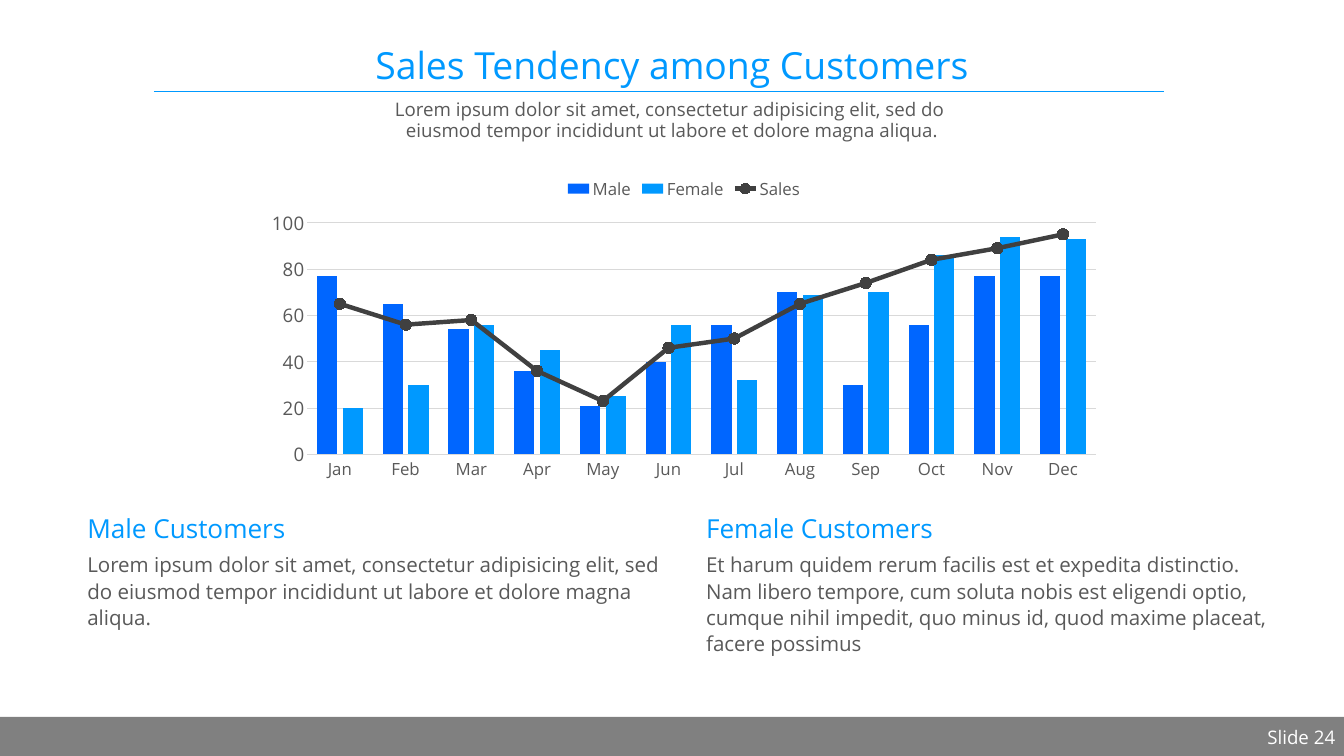
from lxml import etree
from pptx import Presentation
from pptx.chart.data import CategoryChartData
from pptx.dml.color import RGBColor
from pptx.enum.chart import XL_CHART_TYPE, XL_LEGEND_POSITION, XL_MARKER_STYLE, XL_TICK_MARK
from pptx.enum.shapes import MSO_CONNECTOR, MSO_SHAPE
from pptx.enum.text import MSO_ANCHOR, PP_ALIGN
from pptx.oxml.ns import qn
from pptx.util import Cm, Pt

COLUMNS = XL_CHART_TYPE.COLUMN_CLUSTERED
LEGEND_TOP = XL_LEGEND_POSITION.TOP
CIRCLE = XL_MARKER_STYLE.CIRCLE
NO_TICK = XL_TICK_MARK.NONE
STRAIGHT = MSO_CONNECTOR.STRAIGHT
RECT = MSO_SHAPE.RECTANGLE
TOP, BOTTOM = MSO_ANCHOR.TOP, MSO_ANCHOR.BOTTOM
LEFT, CENTER, RIGHT = PP_ALIGN.LEFT, PP_ALIGN.CENTER, PP_ALIGN.RIGHT

FONT = "Open Sans"
COLORS = {
    "accent": "0099FF",
    "male": "0066FF",
    "female": "0099FF",
    "sales": "404040",
    "text": "595959",
    "grid": "D9D9D9",
    "footer": "808080",
    "white": "FFFFFF",
}
SLIDE_W, SLIDE_H = 50.8, 28.58

MONTHS = ["Jan", "Feb", "Mar", "Apr", "May", "Jun",
          "Jul", "Aug", "Sep", "Oct", "Nov", "Dec"]
SERIES = {
    "Male": [77, 65, 54, 36, 21, 40, 56, 70, 30, 56, 77, 77],
    "Female": [20, 30, 56, 45, 25, 56, 32, 69, 70, 86, 94, 93],
    "Sales": [65, 56, 58, 36, 23, 46, 50, 65, 74, 84, 89, 95],
}
CUSTOMERS = [
    ("Male Customers",
     "Lorem ipsum dolor sit amet, consectetur adipisicing elit, sed do eiusmod "
     "tempor incididunt ut labore et dolore magna aliqua."),
    ("Female Customers",
     "Et harum quidem rerum facilis est et expedita distinctio. Nam libero tempore, "
     "cum soluta nobis est eligendi optio, cumque nihil impedit, quo minus id, quod "
     "maxime placeat, facere possimus"),
]


def rgb(name):
    return RGBColor.from_string(COLORS[name])


def set_font(font, size, color):
    font.name = FONT
    font.size = Pt(size)
    font.color.rgb = rgb(color)


def add_text(s, x, y, w, h, text, size, color, align=LEFT, anchor=TOP, spacing=None):
    tf = s.shapes.add_textbox(Cm(x), Cm(y), Cm(w), Cm(h)).text_frame
    tf.word_wrap = True
    tf.vertical_anchor = anchor
    p = tf.paragraphs[0]
    p.text = text
    p.alignment = align
    p.line_spacing = spacing
    set_font(p.font, size, color)


def add_header(s, x, y, w):
    """Title, rule and centred subtitle."""
    add_text(s, x, y, w, 2.13, "Sales Tendency among Customers", 40, "accent",
             CENTER, BOTTOM, 0.9)
    rule = s.shapes.add_connector(STRAIGHT, Cm(x + 4.93), Cm(y + 2.15),
                                  Cm(x + w - 5.92), Cm(y + 2.15))
    rule.line.color.rgb = rgb("accent")
    rule.line.width = Pt(0.5)
    etree.SubElement(rule._element.spPr, qn("a:effectLst"))
    add_text(s, x, y + 2.33, w, 2.57,
             "Lorem ipsum dolor sit amet, consectetur adipisicing elit, sed do \v"
             "eiusmod tempor incididunt ut labore et dolore magna aliqua.",
             20, "text", CENTER, spacing=0.95)


def move_last_series_to_line(chart):
    """Turn the last column series into a line on the same axes."""
    bar = chart.plots[0]._element
    ser = bar.findall(qn("c:ser"))[-1]
    for bar_only in ser.findall(qn("c:invertIfNegative")):
        ser.remove(bar_only)
    line = bar.makeelement(qn("c:lineChart"))
    bar.addnext(line)
    etree.SubElement(line, qn("c:grouping"), val="standard")
    etree.SubElement(line, qn("c:varyColors"), val="0")
    line.append(ser)
    etree.SubElement(line, qn("c:marker"), val="1")
    for axis in bar.findall(qn("c:axId")):
        etree.SubElement(line, qn("c:axId"), val=axis.get("val"))


def add_sales_chart(s, x, y, w, h):
    data = CategoryChartData()
    data.categories = MONTHS
    for name, values in SERIES.items():
        data.add_series(name, values)
    chart = s.shapes.add_chart(COLUMNS, Cm(x), Cm(y), Cm(w), Cm(h), data).chart
    set_font(chart.font, 18, "text")
    chart.has_title = False
    chart.has_legend = True
    chart.legend.position = LEGEND_TOP
    chart.legend.include_in_layout = False
    set_font(chart.legend.font, 18, "text")
    move_last_series_to_line(chart)

    # Columns
    columns, lines = chart.plots
    columns.vary_by_categories = False
    columns.gap_width = 98
    columns.overlap = -27
    for ser, color in zip(columns.series, ("male", "female")):
        ser.invert_if_negative = False
        ser.format.fill.solid()
        ser.format.fill.fore_color.rgb = rgb(color)

    # Sales line
    sales = lines.series[0]
    sales.smooth = False
    sales.format.line.color.rgb = rgb("sales")
    sales.format.line.width = Pt(4.75)
    sales.marker.style = CIRCLE
    sales.marker.size = 12
    sales.marker.format.fill.solid()
    sales.marker.format.fill.fore_color.rgb = rgb("sales")
    sales.marker.format.line.fill.background()

    # Axes
    months, amounts = chart.category_axis, chart.value_axis
    for axis, size in ((months, 18), (amounts, 20)):
        axis.major_tick_mark = axis.minor_tick_mark = NO_TICK
        set_font(axis.tick_labels.font, size, "text")
    amounts.minimum_scale, amounts.maximum_scale, amounts.major_unit = 0, 100, 20
    amounts.format.line.fill.background()
    for line in (months.format.line, amounts.major_gridlines.format.line):
        line.color.rgb = rgb("grid")
        line.width = Pt(0.75)


def add_customer_column(s, x, y, w, heading, body):
    add_text(s, x, y, w, 1.45, heading, 28, "accent", anchor=BOTTOM, spacing=0.9)
    add_text(s, x, y + 1.45, w, 5.74, body, 22, "text", spacing=Pt(28))


def add_footer(s, y, w, h):
    bar = s.shapes.add_shape(RECT, 0, Cm(y), Cm(w), Cm(h))
    bar.shadow.inherit = False
    bar.fill.solid()
    bar.fill.fore_color.rgb = rgb("footer")
    bar.line.fill.background()
    add_text(s, w - 11.51, y + 0.2, 11.43, 0.94, "Slide 24", 20, "white", RIGHT)


def main():
    prs = Presentation()
    prs.slide_width, prs.slide_height = Cm(SLIDE_W), Cm(SLIDE_H)
    s = prs.slides.add_slide(prs.slide_layouts[6])
    add_footer(s, 27.1, SLIDE_W, SLIDE_H - 27.1)
    add_header(s, 0.89, 1.3, 49.02)
    add_sales_chart(s, 9.63, 6.38, 32.44, 12.01)
    for i, (heading, body) in enumerate(CUSTOMERS):
        add_customer_column(s, 3.05 + i * 23.39, 19.25, 22.12, heading, body)
    prs.save("out.pptx")


if __name__ == "__main__":
    main()
